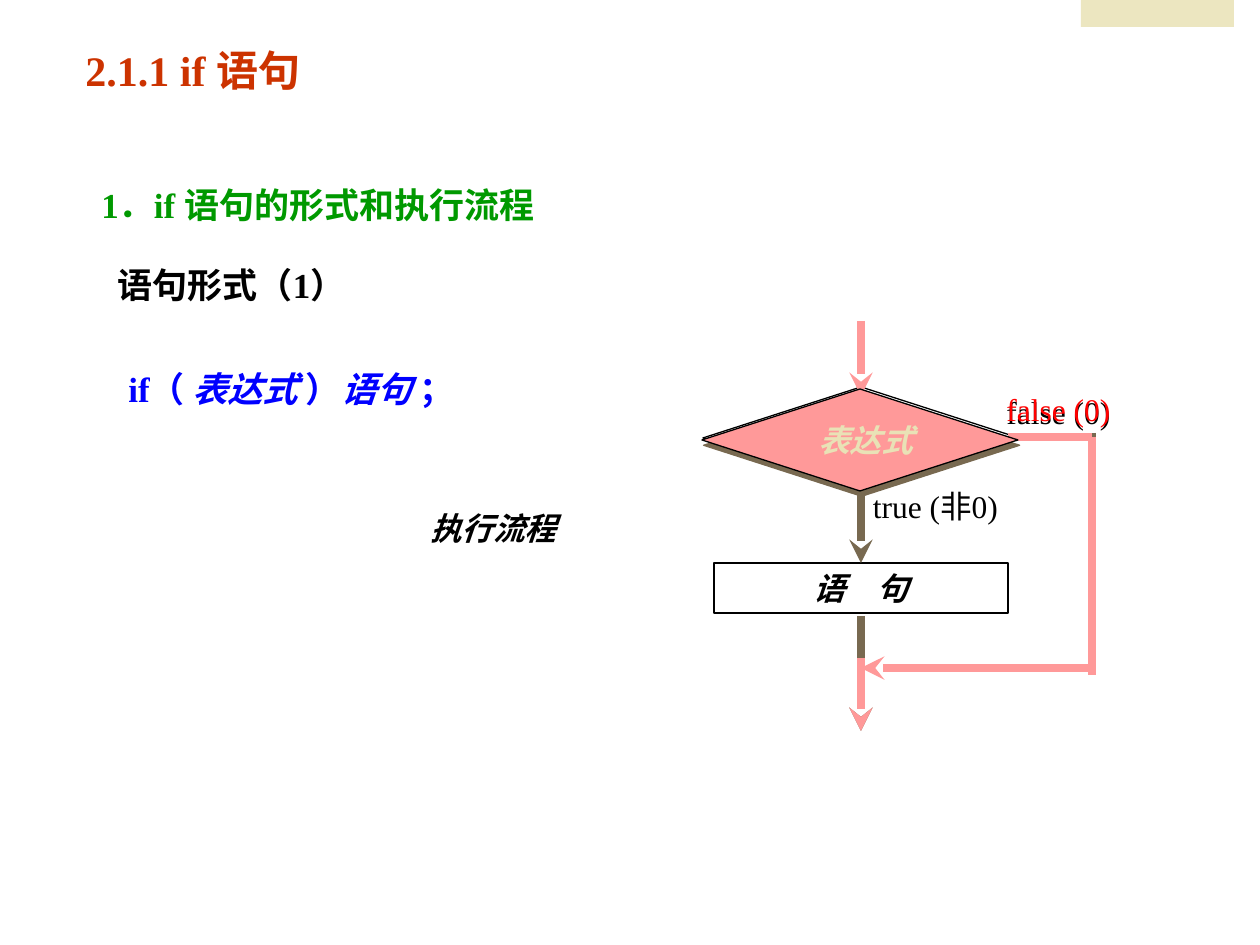
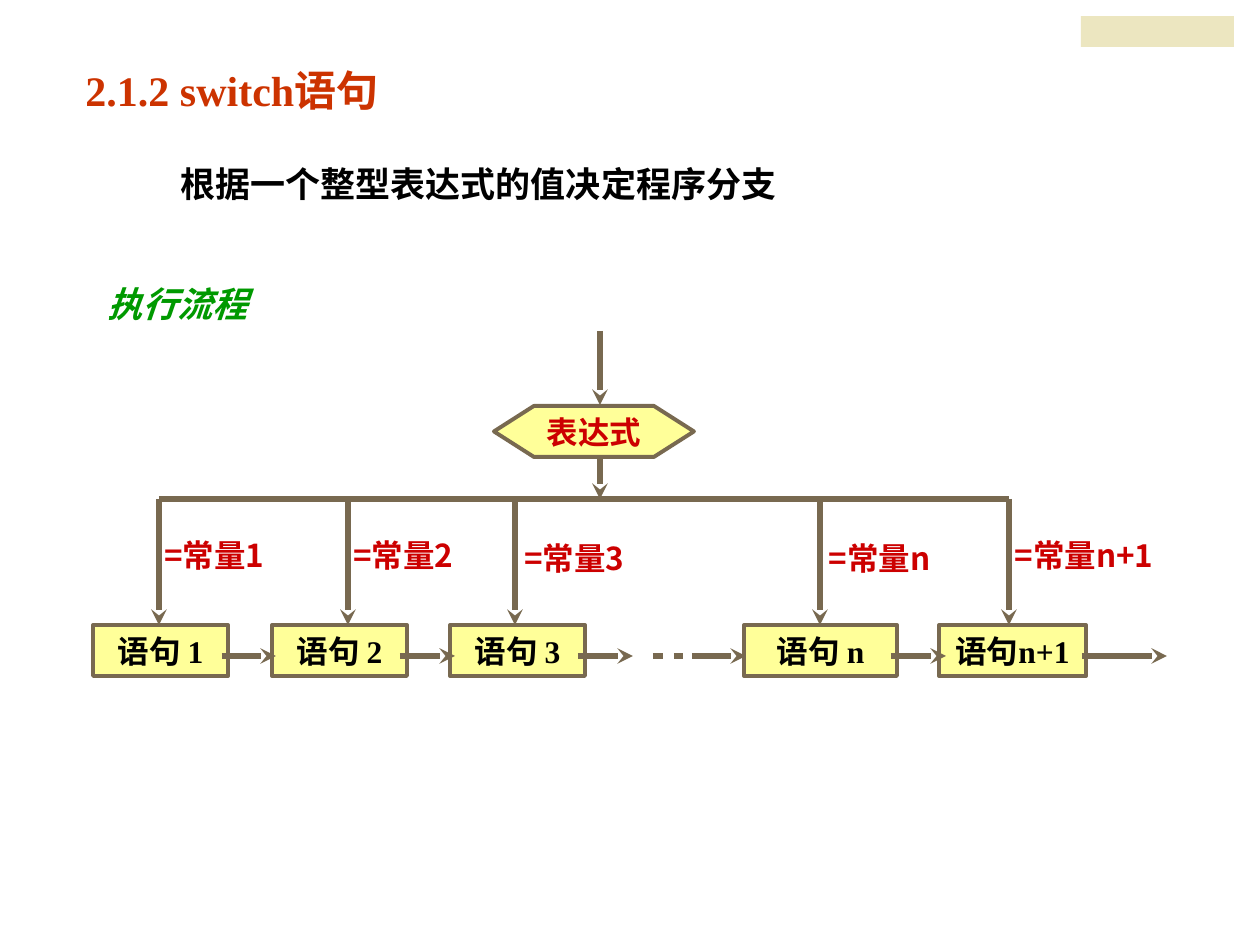
"""Build two slides on the flow of the if and switch statements."""
import pptx
import pptx.dml.color
import pptx.enum.shapes
import pptx.enum.text
import pptx.oxml
import pptx.oxml.ns
import pptx.util
import lxml.etree

EMU_PER_PX = 914400 / 126
COLORS = {
    "band": "ECE6C0", "title": "CC3300", "heading": "009900", "black": "000000",
    "code": "0000FF", "brown": "786950", "pink": "FF9999", "cream": "E9E2B6",
    "red": "FF0000", "yellow": "FFFF99", "label": "CC0000",
}
SERIF, SANS = "Times New Roman", "Noto Sans CJK SC"
SHAPES = pptx.enum.shapes.MSO_SHAPE
ALIGN = pptx.enum.text.PP_ALIGN
ANCHOR = pptx.enum.text.MSO_ANCHOR


def add_text(slide, text, box, kind=None, fill=None, line=None, line_width=0.75,
             size=18, color="black", font=SERIF, bold=True, italic=False,
             align=ALIGN.LEFT, anchor=ANCHOR.MIDDLE, wrap=True, spacing=None,
             before=0, margin_left=None):
    """Add a text box or preset shape; text is a string or (text, italic) pairs."""
    place = [round(value * EMU_PER_PX) for value in box]
    if kind is None:
        shape = slide.shapes.add_textbox(*place)
    else:
        shape = slide.shapes.add_shape(kind, *place)
        shape.shadow.inherit = False
        if fill:
            shape.fill.solid()
            shape.fill.fore_color.rgb = pptx.dml.color.RGBColor.from_string(COLORS[fill])
        else:
            shape.fill.background()
        if line:
            shape.line.color.rgb = pptx.dml.color.RGBColor.from_string(COLORS[line])
            shape.line.width = pptx.util.Pt(line_width)
        else:
            shape.line.fill.background()
    frame = shape.text_frame
    frame.word_wrap = wrap
    frame.vertical_anchor = anchor
    if margin_left is not None:
        frame.margin_left = round(margin_left * EMU_PER_PX)
    paragraph = frame.paragraphs[0]
    paragraph.alignment = align
    paragraph.space_before = pptx.util.Pt(before)
    if spacing:
        paragraph.line_spacing = spacing
    pieces = [(text, italic)] if isinstance(text, str) else text
    for piece, slanted in pieces:
        if not piece:
            continue
        run = paragraph.add_run()
        run.text = piece
        run.font.name = font
        run.font.size = pptx.util.Pt(size)
        run.font.bold = bold
        run.font.italic = slanted
        run.font.color.rgb = pptx.dml.color.RGBColor.from_string(COLORS[color])
        east_asian = pptx.oxml.ns.qn("a:ea")
        run.font._element.find(pptx.oxml.ns.qn("a:latin")).addnext(
            lxml.etree.Element(east_asian, typeface=SANS))
    return shape


def add_line(slide, start, end, color="brown", width=3, arrow=True):
    """Add a straight connector, with a stealth head at its end if arrow."""
    points = [round(value * EMU_PER_PX) for value in start + end]
    connector = slide.shapes.add_connector(
        pptx.enum.shapes.MSO_CONNECTOR.STRAIGHT, *points)
    connector.line.color.rgb = pptx.dml.color.RGBColor.from_string(COLORS[color])
    connector.line.width = pptx.util.Pt(width)
    if arrow:
        lxml.etree.SubElement(connector.line._get_or_add_ln(),
                              pptx.oxml.ns.qn("a:tailEnd"), type="stealth")
    lxml.etree.SubElement(connector._element.spPr, pptx.oxml.ns.qn("a:effectLst"))


presentation = pptx.Presentation()
presentation.slide_width = pptx.util.Inches(10)
presentation.slide_height = pptx.util.Inches(7.5)

slides = []
for title, title_top, band_top in [("2.1.1 if 语句", 28, -4), ("2.1.2 switch语句", 48, 16)]:
    slide = presentation.slides.add_slide(presentation.slide_layouts[6])
    add_text(slide, "", (1081, band_top, 153, 31), kind=SHAPES.RECTANGLE, fill="band")
    add_text(slide, title, (73, title_top, 777, 84), size=24, color="title", before=6)
    slides.append(slide)
if_slide, switch_slide = slides

add_text(if_slide, "1．if 语句的形式和执行流程", (89, 144, 1103, 88), size=20,
         color="heading", anchor=ANCHOR.TOP, spacing=1.8)
add_text(if_slide, "语句形式（1）", (105, 257, 273, 55), size=20, anchor=ANCHOR.TOP)
add_text(if_slide,
         [("if（ ", False), ("表达式", True), (" ）", False), ("语句", True), (" ；", False)],
         (116, 340, 399, 76), size=20, color="code", anchor=ANCHOR.TOP, spacing=1.5)
add_text(if_slide, "执行流程", (418, 503, 170, 50), italic=True)

add_text(if_slide, "false (0)", (994, 387, 129, 50), bold=False, align=ALIGN.CENTER, wrap=False)
add_text(if_slide, "true (非0)", (853, 481, 165, 50), bold=False, align=ALIGN.CENTER, wrap=False)
add_text(if_slide, "", (703, 387, 316, 102), kind=SHAPES.FLOWCHART_DECISION, line="black")
add_text(if_slide, "语　句", (714, 563, 294, 50), kind=SHAPES.FLOWCHART_PROCESS,
         line="black", italic=True, align=ALIGN.CENTER)
for start, end, color, arrow in [
    ((861, 490), (861, 563), "brown", True),
    ((861, 616), (861, 731), "brown", True),
    ((1092, 433), (1092, 672), "brown", False),
    ((861, 321), (861, 396), "pink", True),
    ((861, 658), (861, 731), "pink", True),
    ((1008, 437), (1092, 437), "pink", False),
    ((1092, 437), (1092, 675), "pink", False),
    ((1092, 668), (861, 668), "pink", True),
]:
    add_line(if_slide, start, end, color=color, width=4.5, arrow=arrow)
condition = add_text(if_slide, "表达式", (702, 389, 316, 102), kind=SHAPES.FLOWCHART_DECISION,
                     fill="pink", line="black", color="cream", italic=True,
                     align=ALIGN.CENTER, wrap=False, margin_left=24)
effects = condition._element.spPr.find(pptx.oxml.ns.qn("a:effectLst"))
shadow = lxml.etree.SubElement(effects, pptx.oxml.ns.qn("a:outerShdw"), blurRad="0",
                               dist="40640", dir="4320000", algn="ctr", rotWithShape="0")
lxml.etree.SubElement(shadow, pptx.oxml.ns.qn("a:srgbClr"), val=COLORS["brown"])
add_text(if_slide, "false (0)", (994, 384, 129, 50), color="red", bold=False,
         align=ALIGN.CENTER, wrap=False)

add_text(switch_slide, "根据一个整型表达式的值决定程序分支", (168, 140, 680, 72), size=20,
         anchor=ANCHOR.TOP, spacing=1.4)
add_text(switch_slide, "执行流程", (95, 276, 180, 55), size=20, color="heading", italic=True)
add_text(switch_slide, "表达式", (494, 406, 200, 51), kind=SHAPES.FLOWCHART_PREPARATION,
         fill="yellow", line="brown", line_width=2.25, color="label",
         align=ALIGN.CENTER, wrap=False)

BUS_Y, BOX_Y, FLOW_Y = 499, 625, 656
branches = [
    ("语句 1", 93, 135, "=常量1", 145, 530, 139, 159),
    ("语句 2", 272, 135, "=常量2", 334, 530, 139, 348),
    ("语句 3", 450, 135, "=常量3", 505, 533, 139, 515),
    ("语句 n", 744, 153, "=常量n", 809, 533, 141, 820),
    ("语句n+1", 939, 147, "=常量n+1", 995, 530, 178, 1009),
]
for statement, left, width, label, label_left, label_top, label_width, arrow_x in branches:
    add_text(switch_slide, statement, (left, BOX_Y, width, 51), kind=SHAPES.FLOWCHART_PROCESS,
             fill="yellow", line="brown", line_width=2.25, align=ALIGN.CENTER, wrap=False)
    add_text(switch_slide, label, (label_left, label_top, label_width, 50), color="label",
             font=SANS, align=ALIGN.CENTER, wrap=label != "=常量n")
    add_line(switch_slide, (arrow_x, BUS_Y), (arrow_x, BOX_Y))

add_line(switch_slide, (600, 331), (600, 405))
add_line(switch_slide, (600, 458), (600, BUS_Y))
add_line(switch_slide, (159, BUS_Y), (1009, BUS_Y), arrow=False)
for left, right in [(653, 663), (674, 683)]:
    add_line(switch_slide, (left, FLOW_Y), (right, FLOW_Y), arrow=False)
for left, right in [(222, 276), (400, 455), (578, 633), (692, 746), (891, 946), (1082, 1167)]:
    add_line(switch_slide, (left, FLOW_Y), (right, FLOW_Y))

presentation.save("out.pptx")
